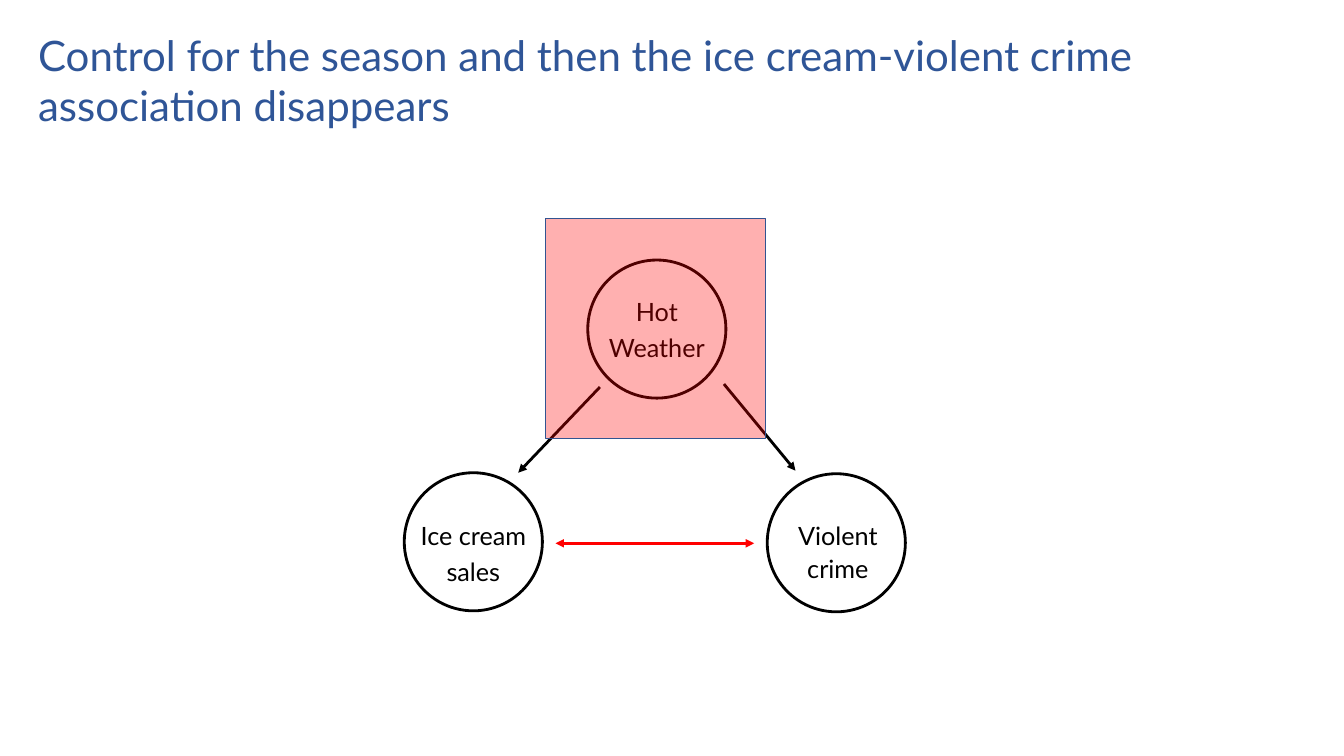
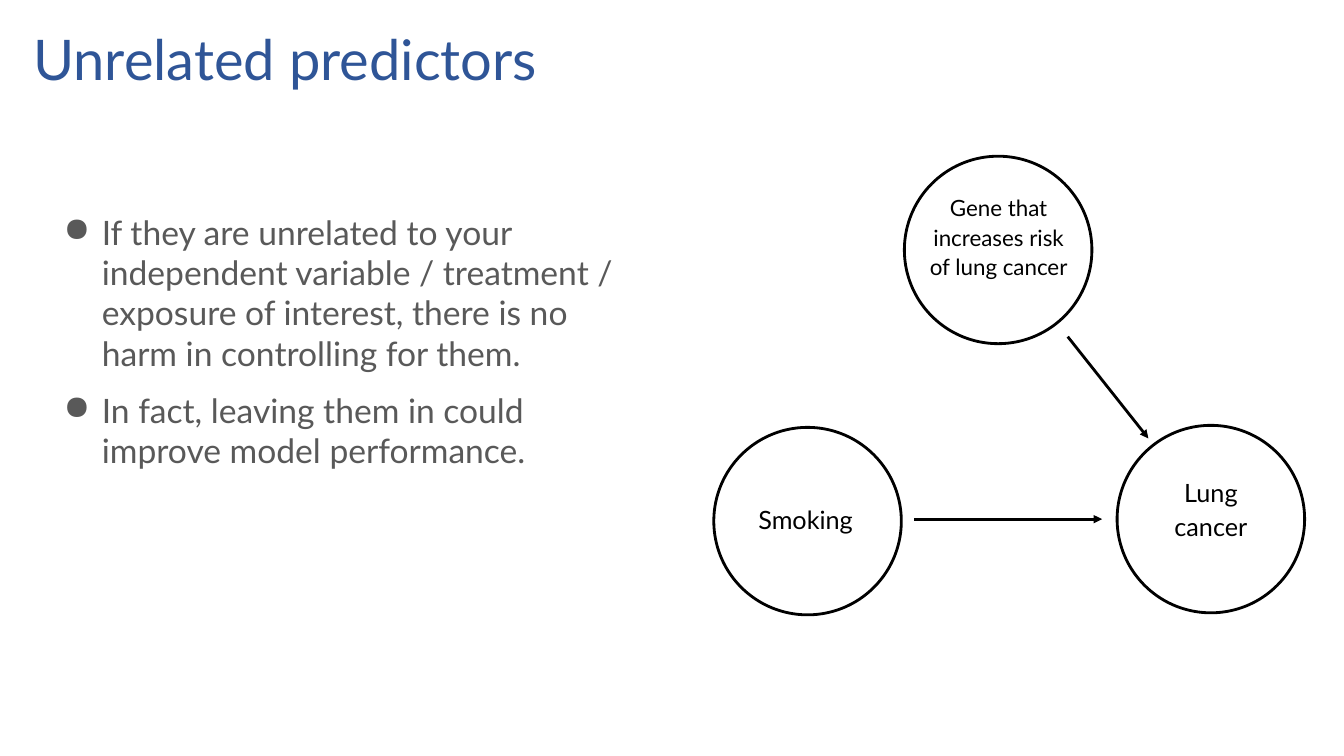
from dataclasses import dataclass

from lxml.etree import SubElement
from pptx import Presentation
from pptx.dml.color import RGBColor
from pptx.enum.shapes import MSO_CONNECTOR, MSO_SHAPE
from pptx.enum.text import MSO_ANCHOR, PP_ALIGN
from pptx.oxml.ns import qn
from pptx.slide import Slide
from pptx.util import Inches, Pt

FONT = "Lato"
COLORS = {
    "title": "2F5597",
    "body": "595959",
    "ink": "000000",
    "red": "FF0000",
    "edge": "325491",
}
Box = tuple[float, float, float, float]
Point = tuple[float, float]


@dataclass
class Node:
    """A circle and the box of its label."""
    at: Point
    label: str
    box: Box
    size: int = 18
    pitch: float = 1.1


@dataclass
class Arrow:
    start: Point
    end: Point
    color: str = "ink"
    double: bool = False


def color(name: str) -> RGBColor:
    return RGBColor.from_string(COLORS[name])


def add_text(slide: Slide, text: str, box: Box, *, size: int, ink: str = "ink",
             align: PP_ALIGN = PP_ALIGN.LEFT, pitch: float = 1.0,
             inset: Point = (0.1, 0.05), before: int = 0,
             bullet: str = "") -> None:
    """Write each line of text as one paragraph."""
    frame = slide.shapes.add_textbox(*map(Inches, box)).text_frame
    frame.word_wrap = True
    frame.vertical_anchor = MSO_ANCHOR.TOP
    frame.margin_left = frame.margin_right = Inches(inset[0])
    frame.margin_top = frame.margin_bottom = Inches(inset[1])
    for i, line in enumerate(text.split("\n")):
        para = frame.add_paragraph() if i else frame.paragraphs[0]
        para.alignment = align
        para.line_spacing = pitch
        para.space_before = Pt(before)
        run = para.add_run()
        run.text = line
        run.font.name = FONT
        run.font.size = Pt(size)
        run.font.color.rgb = color(ink)
        if bullet:
            props = para._p.get_or_add_pPr()
            props.set("marL", str(Inches(0.58)))
            props.set("indent", str(Inches(-0.38)))
            SubElement(props, qn("a:buChar"), char=bullet)


def add_title(slide: Slide, text: str, box: Box, size: int, inset: float,
              pitch: float = 1.0) -> None:
    add_text(slide, text, box, size=size, ink="title", pitch=pitch,
             inset=(inset, inset))


def add_node(slide: Slide, node: Node, width: float) -> None:
    ring = slide.shapes.add_shape(
        MSO_SHAPE.OVAL, *map(Inches, (*node.at, width, width)))
    ring.shadow.inherit = False
    ring.fill.background()
    ring.line.color.rgb = color("ink")
    ring.line.width = Pt(2)
    add_text(slide, node.label, node.box, size=node.size, pitch=node.pitch,
             align=PP_ALIGN.CENTER)


def add_arrow(slide: Slide, arrow: Arrow) -> None:
    link = slide.shapes.add_connector(
        MSO_CONNECTOR.STRAIGHT, *map(Inches, (*arrow.start, *arrow.end)))
    link.line.color.rgb = color(arrow.color)
    link.line.width = Pt(2)
    line = link.line._get_or_add_ln()
    if arrow.double:
        SubElement(line, qn("a:headEnd"), type="triangle")
    SubElement(line, qn("a:tailEnd"), type="triangle")
    SubElement(link._element.spPr, qn("a:effectLst"))


def add_graph(slide: Slide, nodes: list[Node], arrows: list[Arrow],
              width: float) -> None:
    for node in nodes:
        add_node(slide, node, width)
    for arrow in arrows:
        add_arrow(slide, arrow)


def add_veil(slide: Slide, box: Box, alpha: int) -> None:
    """Lay a see-through red square over the controlled node."""
    veil = slide.shapes.add_shape(MSO_SHAPE.RECTANGLE, *map(Inches, box))
    veil.shadow.inherit = False
    veil.fill.solid()
    veil.fill.fore_color.rgb = color("red")
    tint = veil._element.spPr.find(qn("a:solidFill"))[0]
    SubElement(tint, qn("a:alpha"), val=str(alpha * 1000))
    veil.line.color.rgb = color("edge")
    veil.line.width = Pt(1)


def build_season(slide: Slide) -> None:
    add_title(slide, "Control for the season and then the ice cream-violent "
              "crime association disappears", (0.28, 0.19, 11.5, 0.83), 30, 0.1)
    nodes = [
        Node((4.01, 4.69), "Ice cream sales", (3.94, 5.05, 1.51, 0.79), pitch=1.2),
        Node((7.61, 4.7), "Violent\ncrime", (7.62, 5.08, 1.38, 0.79)),
        Node((5.83, 2.58), "Hot Weather", (5.76, 2.83, 1.51, 0.79), pitch=1.2),
    ]
    causes = [
        Arrow((5.95, 3.84), (5.14, 4.69)),
        Arrow((7.18, 3.81), (7.89, 4.67)),
    ]
    add_graph(slide, nodes, causes, 1.37)
    add_veil(slide, (5.41, 2.17, 2.18, 2.18), 31)
    add_arrow(slide, Arrow((5.51, 5.39), (7.48, 5.39), "red", True))


def build_genes(slide: Slide) -> None:
    add_title(slide, "Unrelated predictors", (0.2, 0.19, 12.42, 0.84), 40, 0.13, 0.9)
    points = [
        "If they are unrelated to your independent variable / treatment / "
        "exposure of interest, there is no harm in controlling for them.",
        "In fact, leaving them in could improve model performance.",
    ]
    add_text(slide, "\n".join(points), (0.3, 1.97, 6.05, 5.08), size=24,
             ink="body", inset=(0.13, 0.13), before=12, bullet="●")
    nodes = [
        Node((7.08, 4.24), "Smoking", (7.3, 4.92, 1.38, 0.79)),
        Node((11.08, 4.22), "Lung cancer", (11.32, 4.66, 1.38, 0.79)),
        Node((8.97, 1.55), "Gene that increases risk of lung cancer",
             (9.04, 1.85, 1.73, 1.38), size=16),
    ]
    causes = [
        Arrow((9.07, 5.15), (10.93, 5.15)),
        Arrow((10.59, 3.34), (11.39, 4.35)),
    ]
    add_graph(slide, nodes, causes, 1.86)


def main() -> None:
    deck = Presentation()
    deck.slide_width, deck.slide_height = Inches(13.33), Inches(7.5)
    for build in (build_season, build_genes):
        build(deck.slides.add_slide(deck.slide_layouts[6]))
    deck.save("out.pptx")


if __name__ == "__main__":
    main()
